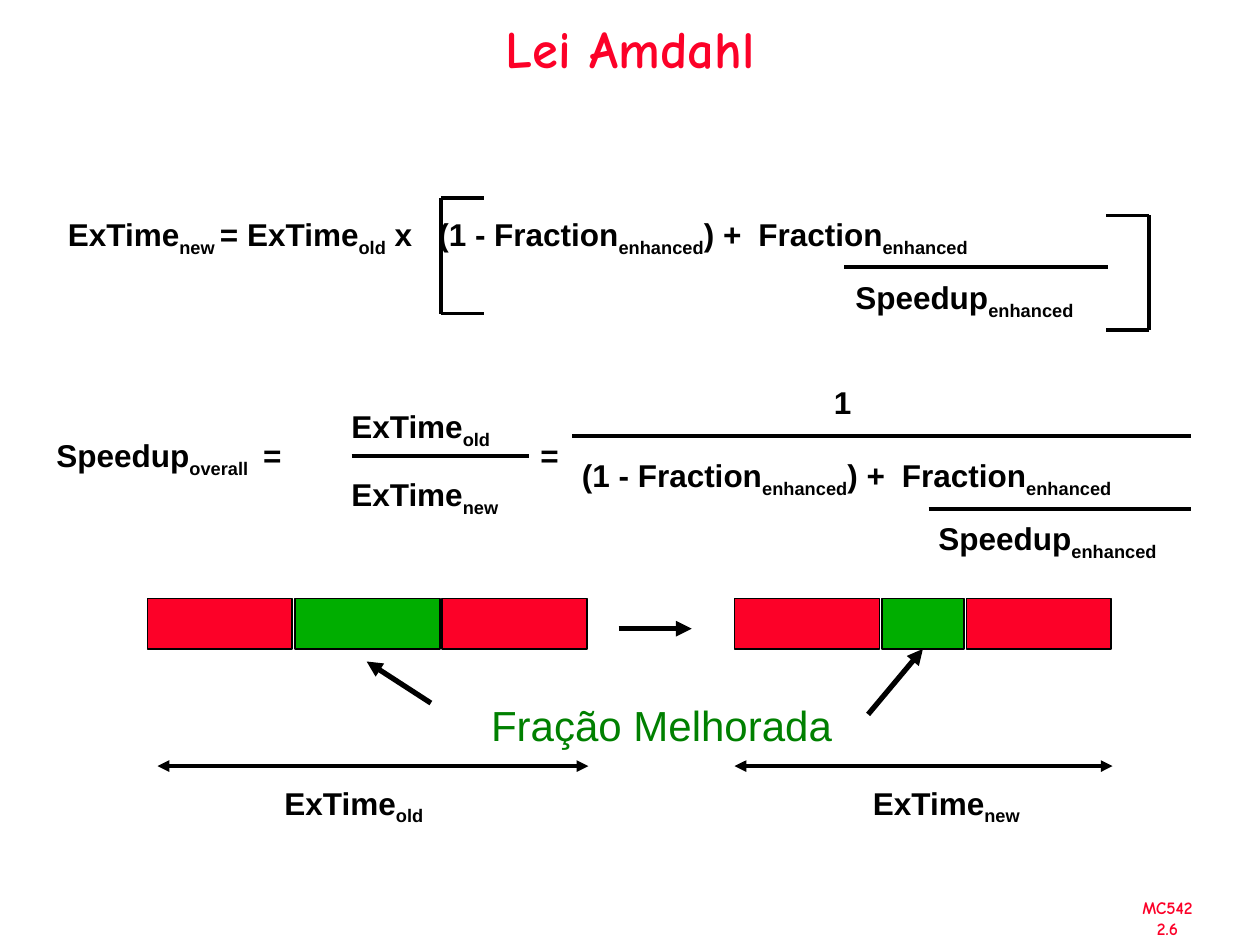
from pptx import Presentation
from pptx.dml.color import RGBColor
from pptx.enum.shapes import MSO_CONNECTOR, MSO_SHAPE
from pptx.enum.text import MSO_ANCHOR, PP_ALIGN
from pptx.oxml.ns import qn
from pptx.util import Inches, Pt
from lxml import etree

STRAIGHT = MSO_CONNECTOR.STRAIGHT
RECT = MSO_SHAPE.RECTANGLE
LEFT, CENTER = PP_ALIGN.LEFT, PP_ALIGN.CENTER
MIDDLE = MSO_ANCHOR.MIDDLE
BOTTOM_SIDE = 2

COLORS = {"red": "FC0128", "green": "00AE00", "label": "008000", "black": "000000"}
BODY_FONT, TITLE_FONT = "Arial", "Comic Neue"
BAR_HEIGHT, BAR_GAP = 0.4, 0.02
TIME_WIDTH = 1.5


def rgb(name):
    return RGBColor.from_string(COLORS[name])


def add_run(p, text, size=18, color="black", font=BODY_FONT, bold=True, sub=False):
    r = p.add_run()
    r.text = text
    r.font.size, r.font.name, r.font.bold = Pt(size), font, bold
    r.font.color.rgb = rgb(color)
    if sub:
        r.font._element.set("baseline", "-25000")


def add_box(slide, left, top, width, height, wrap=False):
    sp = slide.shapes.add_textbox(Inches(left), Inches(top), Inches(width), Inches(height))
    sp.text_frame.word_wrap = wrap
    return sp.text_frame


def add_terms(p, terms):
    """Write terms in turn as normal and subscript runs."""
    for i, term in enumerate(terms):
        add_run(p, term, sub=i % 2 == 1)


def add_formula(slide, left, top, width, *terms, height=0.44, tabs=()):
    """Place one formula line; tabs are stops in inches from the text edge."""
    p = add_box(slide, left, top, width, height, wrap=True).paragraphs[0]
    p.alignment = LEFT
    add_terms(p, terms)
    if tabs:
        tab_list = etree.SubElement(p._p.get_or_add_pPr(), qn("a:tabLst"))
        for stop in tabs:
            etree.SubElement(tab_list, qn("a:tab"), pos=str(Inches(stop)), algn="l")


def add_line(slide, x1, y1, x2, y2, width=2, head=False, tail=False):
    line = slide.shapes.add_connector(STRAIGHT, Inches(x1), Inches(y1), Inches(x2), Inches(y2))
    line.line.width = Pt(width)
    line.line.color.rgb = rgb("black")
    ln = line.line._get_or_add_ln()
    for tag, wanted in (("a:headEnd", head), ("a:tailEnd", tail)):
        if wanted:
            etree.SubElement(ln, qn(tag), type="triangle")
    etree.SubElement(line._element.spPr, qn("a:effectLst"))
    return line


def add_bracket(slide, x, top, bottom, arm):
    """Draw a square bracket whose arms reach from x by arm, left if negative."""
    add_line(slide, x, top, x, bottom)
    for y in (top, bottom):
        add_line(slide, x, y, x + arm, y)


def add_title(slide, left, top, width, height):
    title = slide.shapes.title
    title.left, title.top = Inches(left), Inches(top)
    title.width, title.height = Inches(width), Inches(height)
    title.text_frame.vertical_anchor = MIDDLE
    p = title.text_frame.paragraphs[0]
    p.alignment, p.line_spacing = CENTER, 0.9
    add_run(p, "Lei Amdahl", 30, "red", TITLE_FONT)


def add_new_time(slide, left, top):
    add_formula(slide, left, top, 8.41, "ExTime", "new ", "= ExTime", "old",
                " x\t(1 - Fraction", "enhanced", ") +\tFraction", "enhanced",
                tabs=(2.94, 5.48))
    add_line(slide, left + 6.26, top + 0.46, left + 8.35, top + 0.46)
    add_formula(slide, left + 6.25, top + 0.5, 2.1, "Speedup", "enhanced")
    add_bracket(slide, left + 3.06, top - 0.09, top + 0.83, 0.34)
    add_bracket(slide, left + 8.68, top + 0.05, top + 0.96, -0.34)


def add_time_ratio(slide, left, top):
    tf = add_box(slide, left, top, TIME_WIDTH, 0.93, wrap=True)
    for p, age in ((tf.paragraphs[0], "old"), (tf.add_paragraph(), "new")):
        p.line_spacing = 0.85
        add_terms(p, ("ExTime", age))
    p.space_before = Pt(18)
    add_line(slide, left + 0.1, top + 0.42, left + 1.51, top + 0.42)


def add_speedup(slide, left, top):
    add_formula(slide, left, top, 2.2, "Speedup", "overall", "\t=", tabs=(1.64,))
    add_time_ratio(slide, left + 2.34, top - 0.21)
    add_formula(slide, left + 3.84, top, 0.4, "=", height=0.4)
    add_formula(slide, left + 6.17, top - 0.42, 0.4, "1", height=0.4)
    add_line(slide, left + 4.19, top + 0.05, left + 9.1, top + 0.05)
    add_formula(slide, left + 4.17, top + 0.16, 4.7, "(1 - Fraction", "enhanced",
                ") +\tFraction", "enhanced", tabs=(2.54,))
    add_line(slide, left + 7.02, top + 0.63, left + 9.1, top + 0.63)
    add_formula(slide, left + 7, top + 0.66, 2.1, "Speedup", "enhanced")


def add_bar(slide, left, top, widths):
    """Draw red, green and red parts side by side and return the green one."""
    parts = []
    for width, color in zip(widths, ("red", "green", "red")):
        sp = slide.shapes.add_shape(RECT, Inches(left), Inches(top), Inches(width), Inches(BAR_HEIGHT))
        sp.shadow.inherit = False
        sp.fill.solid()
        sp.fill.fore_color.rgb = rgb(color)
        sp.line.color.rgb = rgb("black")
        sp.line.width = Pt(1)
        parts.append(sp)
        left += width + BAR_GAP
    return parts[1]


def add_span(slide, left, right, y, label_left, age):
    add_line(slide, left, y, right, y, 2.25, head=True, tail=True)
    add_formula(slide, label_left, y + 0.09, TIME_WIDTH, "ExTime", age)


def add_comparison(slide, top):
    add_bar(slide, 1.17, top, (1.15, 1.15, 1.15))
    new_fraction = add_bar(slide, 5.83, top, (1.15, 0.65, 1.15))
    add_line(slide, 4.91, top + 0.24, 5.49, top + 0.24, 3, tail=True)
    add_line(slide, 3.42, top + 0.83, 2.91, top + 0.5, 3, tail=True)
    arrow = add_line(slide, 6.89, top + 0.92, 7.31, top + 0.41, 3, tail=True)
    arrow.end_connect(new_fraction, BOTTOM_SIDE)
    p = add_box(slide, 3.46, top + 0.75, 3.58, 0.5, wrap=True).paragraphs[0]
    p.alignment = CENTER
    add_run(p, "Fração Melhorada", 24, "label", bold=False)
    add_span(slide, 1.25, 4.67, top + 1.33, 2.16, "old")
    add_span(slide, 5.83, 8.83, top + 1.33, 6.83, "new")


def add_page_mark(slide, left, top, width, height):
    tf = add_box(slide, left, top, width, height)
    for p, text in ((tf.paragraphs[0], "MC542"), (tf.add_paragraph(), "2.6")):
        p.alignment = CENTER
        add_run(p, text, 10, "red", TITLE_FONT)


def main():
    prs = Presentation()
    prs.slide_width, prs.slide_height = Inches(10), Inches(7.5)
    slide = prs.slides.add_slide(prs.slide_layouts.get_by_name("Title Only"))
    add_title(slide, 0, 0.05, 10, 0.71)
    add_new_time(slide, 0.44, 1.66)
    add_speedup(slide, 0.35, 3.41)
    add_comparison(slide, 4.75)
    add_page_mark(slide, 8.79, 7.07, 0.95, 0.43)
    prs.save("out.pptx")


if __name__ == "__main__":
    main()
